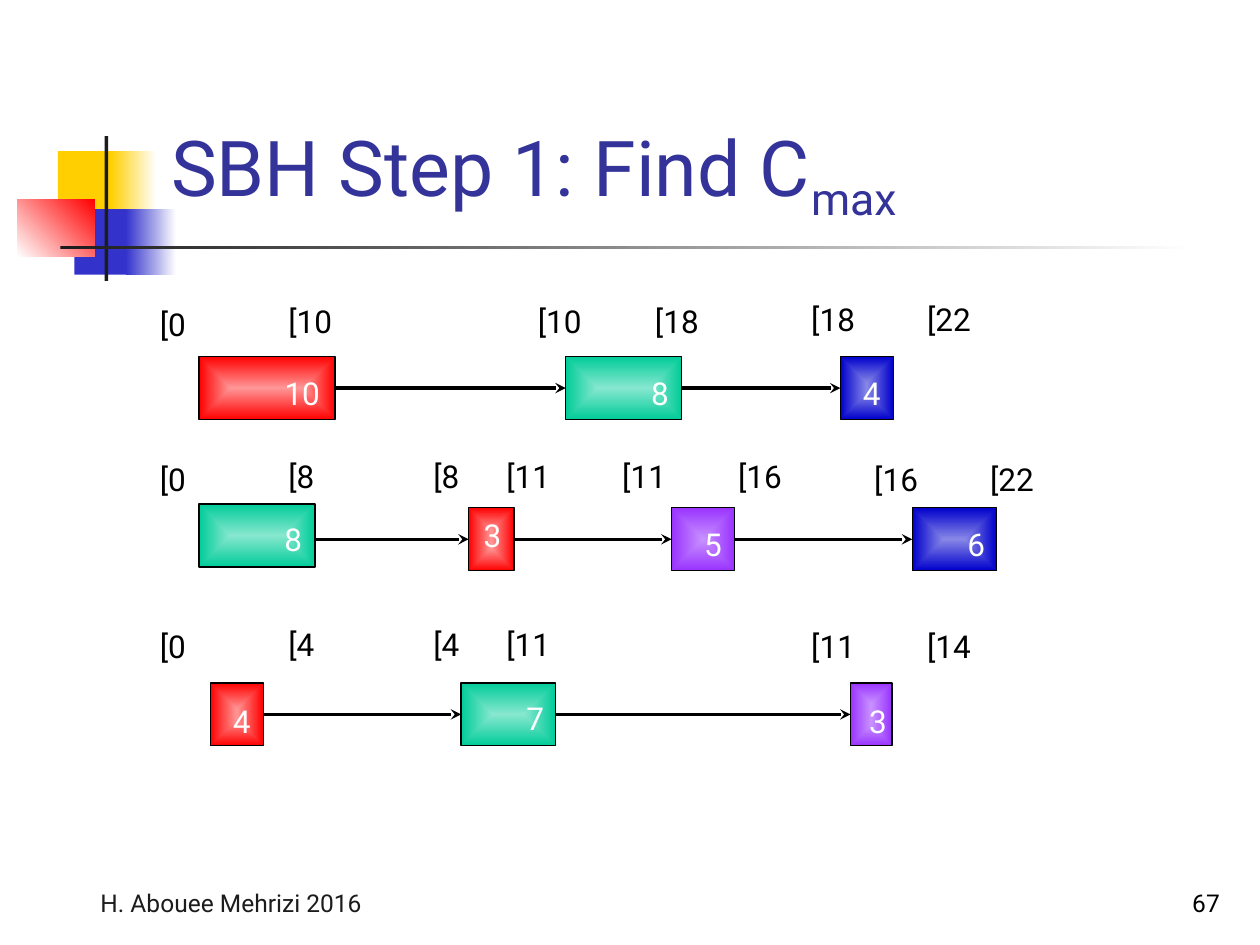
from lxml import etree
from pptx import Presentation
from pptx.dml.color import RGBColor
from pptx.enum.shapes import MSO_CONNECTOR, MSO_SHAPE
from pptx.enum.text import MSO_ANCHOR, MSO_AUTO_SIZE, PP_ALIGN
from pptx.oxml import parse_xml
from pptx.oxml.ns import nsdecls, qn
from pptx.util import Emu, Pt

EMU_PER_PX = 9144
FONT = "Roboto"
RECTANGLE = MSO_SHAPE.RECTANGLE
STRAIGHT = MSO_CONNECTOR.STRAIGHT
TOP, BOTTOM = MSO_ANCHOR.TOP, MSO_ANCHOR.BOTTOM
FIT_SHAPE, NO_FIT = MSO_AUTO_SIZE.SHAPE_TO_FIT_TEXT, MSO_AUTO_SIZE.NONE
LEFT, CENTER, RIGHT = PP_ALIGN.LEFT, PP_ALIGN.CENTER, PP_ALIGN.RIGHT
LEFT_SIDE, RIGHT_SIDE = 1, 3

WHITE = RGBColor(0xFF, 0xFF, 0xFF)
BLACK = RGBColor(0x00, 0x00, 0x00)
CHARCOAL = RGBColor(0x1C, 0x1C, 0x1C)
GOLD = RGBColor(0xFF, 0xCF, 0x01)
INDIGO = RGBColor(0x33, 0x33, 0xCC)
TITLE_BLUE = RGBColor(0x33, 0x33, 0x99)
RED = RGBColor(0xFF, 0x00, 0x00)
PINK = RGBColor(0xFF, 0x96, 0x96)
GREEN = RGBColor(0x00, 0xCC, 0x99)
MINT = RGBColor(0x87, 0xE7, 0xCF)
BLUE = RGBColor(0x00, 0x00, 0xCC)
SKY = RGBColor(0x87, 0x87, 0xE7)
PURPLE = RGBColor(0x99, 0x33, 0xFF)
LILAC = RGBColor(0xC8, 0x91, 0xFF)

MACHINE_RED = (PINK, RED)
MACHINE_GREEN = (MINT, GREEN)
MACHINE_BLUE = (SKY, BLUE)
MACHINE_PURPLE = (LILAC, PURPLE)

TASK_HEIGHT = 50
LABEL_HEIGHT = 40

# Each job: axis, tasks (left, top, width, machine, time, label left, label top),
# and event times (left, top, text).
JOBS = [
    (308,
     [(158, 283, 108, MACHINE_RED, "10", 216, 292),
      (449, 283, 92, MACHINE_GREEN, "8", 507, 292),
      (667, 283, 42, MACHINE_BLUE, "4", 675, 292)],
     [(117, 237, "[0"), (219, 235, "[10"), (417, 235, "[10"),
      (510, 235, "[18"), (634, 233, "[18"), (726, 233, "[22")]),
    (428,
     [(158, 400, 92, MACHINE_GREEN, "8", 216, 408),
      (372, 403, 36, MACHINE_RED, "3", 374, 405),
      (533, 403, 50, MACHINE_PURPLE, "5", 549, 412),
      (724, 403, 67, MACHINE_BLUE, "6", 758, 412)],
     [(117, 360, "[0"), (219, 358, "[8"), (334, 358, "[8"), (392, 358, "[11"),
      (484, 358, "[11"), (576, 358, "[16"), (684, 360, "[16"), (776, 360, "[22")]),
    (567,
     [(167, 542, 42, MACHINE_RED, "4", 175, 552),
      (366, 542, 75, MACHINE_GREEN, "7", 408, 550),
      (675, 542, 33, MACHINE_PURPLE, "3", 680, 552)],
     [(117, 493, "[0"), (219, 491, "[4"), (334, 491, "[4"),
      (392, 491, "[11"), (634, 493, "[11"), (726, 493, "[14")]),
]


def px(length):
    return Emu(length * EMU_PER_PX)


class SlideBuilder:
    def __init__(self, page, font):
        self.page = page
        self.font = font

    def block(self, left, top, width, height, *colors, angle=0):
        box = self.page.shapes.add_shape(
            RECTANGLE, px(left), px(top), px(width), px(height))
        box.shadow.inherit = False
        box.line.fill.background()
        if len(colors) == 1:
            box.fill.solid()
            box.fill.fore_color.rgb = colors[0]
        else:
            box.fill.gradient()
            box.fill.gradient_angle = angle
            for stop, color, position in zip(box.fill.gradient_stops, colors, (0, 1)):
                stop.color.rgb = color
                stop.position = position
        return box

    def task(self, left, top, width, machine):
        box = self.block(left, top, width, TASK_HEIGHT, *machine)
        box.line.color.rgb = BLACK
        box.line.width = Pt(0.75)
        linear = box.fill._fill._gradFill.find(qn("a:lin"))
        linear.getparent().replace(linear, parse_xml(
            f'<a:path {nsdecls("a")} path="rect">'
            '<a:fillToRect l="50000" t="50000" r="50000" b="50000"/></a:path>'))
        return box

    def text(self, left, top, width, height, words, size, color,
             align=LEFT, anchor=BOTTOM, wrap=True):
        box = self.page.shapes.add_textbox(px(left), px(top), px(width), px(height))
        frame = box.text_frame
        frame.text = words
        frame.word_wrap = wrap
        frame.auto_size = NO_FIT if wrap else FIT_SHAPE
        frame.vertical_anchor = anchor
        para = frame.paragraphs[0]
        para.alignment = align
        for span in para.runs:
            self.style(span, size, color)
        return para

    def style(self, span, size, color):
        span.font.name = self.font
        span.font.size = Pt(size)
        span.font.color.rgb = color

    def label(self, left, top, words, color):
        digits = words.lstrip("[")
        width = 20 + 14 * len(digits) + 8 * (len(words) - len(digits))
        self.text(left, top, width, LABEL_HEIGHT, words, 18, color,
                  anchor=TOP, wrap=False)

    def title(self, words, subscript):
        para = self.text(126, 23, 852, 160, words, 44, TITLE_BLUE)
        span = para.add_run()
        span.text = subscript
        self.style(span, 44, TITLE_BLUE)
        span.font._element.set("baseline", "-25000")

    def arrow(self, source, target, axis):
        line = self.page.shapes.add_connector(
            STRAIGHT, source.left + source.width, px(axis), target.left, px(axis))
        if source.top + source.height // 2 == px(axis):
            line.begin_connect(source, RIGHT_SIDE)
        line.end_connect(target, LEFT_SIDE)
        line.line.color.rgb = BLACK
        line.line.width = Pt(2)
        etree.SubElement(line.line._get_or_add_ln(), qn("a:tailEnd"), type="stealth")
        etree.SubElement(line._element.spPr, qn("a:effectLst"))

    def job(self, axis, tasks, events):
        boxes = [self.task(*task[:4]) for task in tasks]
        for source, target in zip(boxes, boxes[1:]):
            self.arrow(source, target, axis)
        for *_, time, left, top in tasks:
            self.label(left, top, time, WHITE)
        for left, top, words in events:
            self.label(left, top, words, BLACK)


def main():
    deck = Presentation()
    deck.slide_width, deck.slide_height = px(1000), px(750)
    page = deck.slides.add_slide(deck.slide_layouts[6])
    builder = SlideBuilder(page, FONT)

    builder.block(46, 120, 48, 52, GOLD)
    builder.block(88, 120, 36, 52, GOLD, WHITE)
    builder.block(59, 166, 46, 52, INDIGO)
    builder.block(100, 166, 40, 52, INDIGO, WHITE)
    builder.block(14, 158, 61, 46, WHITE, RED, angle=45)
    builder.block(83, 108, 3, 115, CHARCOAL)
    builder.block(48, 195, 900, 3, CHARCOAL, WHITE)

    builder.text(25, 683, 317, 50, "H. Abouee Mehrizi 2016", 14, CHARCOAL, CENTER)
    builder.text(770, 683, 208, 50, "67", 14, BLACK, RIGHT)
    builder.title("SBH Step 1: Find C", "max")
    for job in JOBS:
        builder.job(*job)

    deck.save("out.pptx")


if __name__ == "__main__":
    main()
